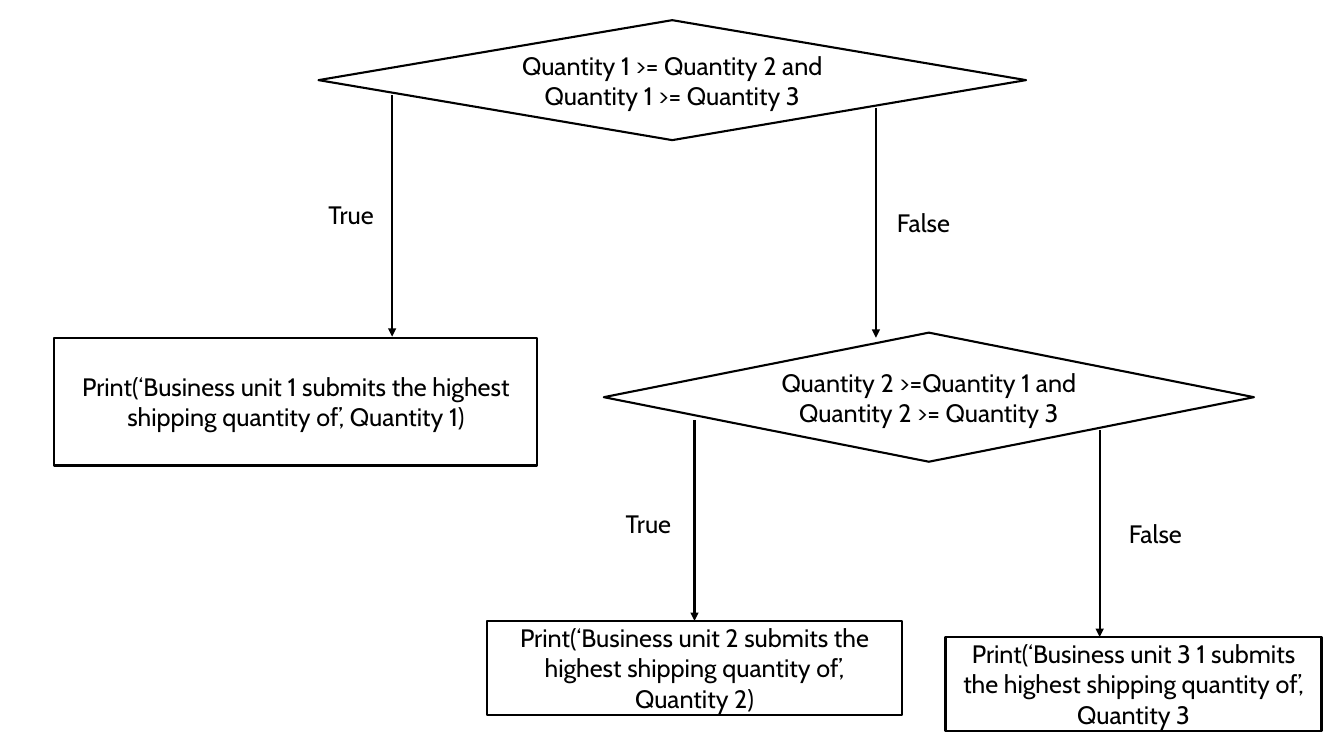
from lxml.etree import SubElement
from pptx import Presentation
from pptx.dml.color import RGBColor
from pptx.enum.shapes import MSO_CONNECTOR, MSO_SHAPE
from pptx.enum.text import MSO_ANCHOR, MSO_AUTO_SIZE, PP_ALIGN
from pptx.oxml.ns import qn
from pptx.util import Pt

BLACK = RGBColor(0, 0, 0)
WHITE = RGBColor(255, 255, 255)
FONT = "Cabin"
TEXT_SIZE = 18
LINE_WIDTH = 1.5
LABEL_HEIGHT = 28.8
TOP_SIDE = 0


def write_text(shape, text, alignment):
    """Fill a shape with one paragraph in the chart's font."""
    para = shape.text_frame.paragraphs[0]
    para.text = text
    para.alignment = alignment
    para.font.name = FONT
    para.font.size = Pt(TEXT_SIZE)
    para.font.color.rgb = BLACK


def add_node(page, kind, left, top, width, height, text):
    """Add an outlined flowchart node with centred text."""
    node = page.shapes.add_shape(kind, Pt(left), Pt(top), Pt(width), Pt(height))
    node.shadow.inherit = False
    node.fill.solid()
    node.fill.fore_color.rgb = WHITE
    node.line.color.rgb = BLACK
    node.line.width = Pt(LINE_WIDTH)
    node.text_frame.word_wrap = True
    node.text_frame.vertical_anchor = MSO_ANCHOR.MIDDLE
    write_text(node, text, PP_ALIGN.CENTER)
    return node


def add_arrow(page, x, top, bottom):
    """Add a vertical arrow pointing down."""
    arrow = page.shapes.add_connector(
        MSO_CONNECTOR.STRAIGHT, Pt(x), Pt(top), Pt(x), Pt(bottom))
    arrow.line.color.rgb = BLACK
    arrow.line.width = Pt(LINE_WIDTH)
    SubElement(arrow.line._get_or_add_ln(), qn("a:tailEnd"), type="triangle")
    SubElement(arrow._element.spPr, qn("a:effectLst"))
    return arrow


def add_label(page, left, top, width, text, wrap=True):
    """Add a branch label beside an arrow."""
    box = page.shapes.add_textbox(Pt(left), Pt(top), Pt(width), Pt(LABEL_HEIGHT))
    box.text_frame.word_wrap = wrap
    box.text_frame.auto_size = MSO_AUTO_SIZE.SHAPE_TO_FIT_TEXT
    write_text(box, text, PP_ALIGN.LEFT)


def main():
    """Build the quantity comparison flowchart."""
    deck = Presentation()
    deck.slide_width, deck.slide_height = Pt(960), Pt(540)
    page = deck.slides.add_slide(deck.slide_layouts[6])

    add_node(page, MSO_SHAPE.DIAMOND, 227.5, 14.4, 505.4, 85.7,
             "Quantity 1 >= Quantity 2 and Quantity 1 >= Quantity 3")
    add_node(page, MSO_SHAPE.RECTANGLE, 38.9, 241.2, 344.9, 91.4,
             "Print(‘Business unit 1 submits the highest shipping quantity of’, Quantity 1)")
    add_node(page, MSO_SHAPE.DIAMOND, 431.3, 237.6, 464.4, 92.2,
             "Quantity 2 >=Quantity 1 and Quantity 2 >= Quantity 3")
    unit_two = add_node(
        page, MSO_SHAPE.RECTANGLE, 347.8, 443.5, 296.6, 67,
        "Print(‘Business unit 2 submits the highest shipping quantity of’, Quantity 2)")
    add_node(page, MSO_SHAPE.RECTANGLE, 675.4, 455, 268.6, 67,
             "Print(‘Business unit 3 1 submits the highest shipping quantity of’, Quantity 3")

    add_arrow(page, 280.1, 67.7, 240.5)
    add_arrow(page, 625.7, 77, 241.2)
    add_arrow(page, 496.1, 300.2, 443.5).end_connect(unit_two, TOP_SIDE)
    add_arrow(page, 785.5, 307.4, 455)

    add_label(page, 227.5, 139, 56.9, "True")
    add_label(page, 633.6, 144.7, 82.8, "False")
    add_label(page, 439.9, 359.3, 48.2, "True", wrap=False)
    add_label(page, 799.2, 366.5, 67.7, "False")

    deck.save("out.pptx")


if __name__ == "__main__":
    main()
